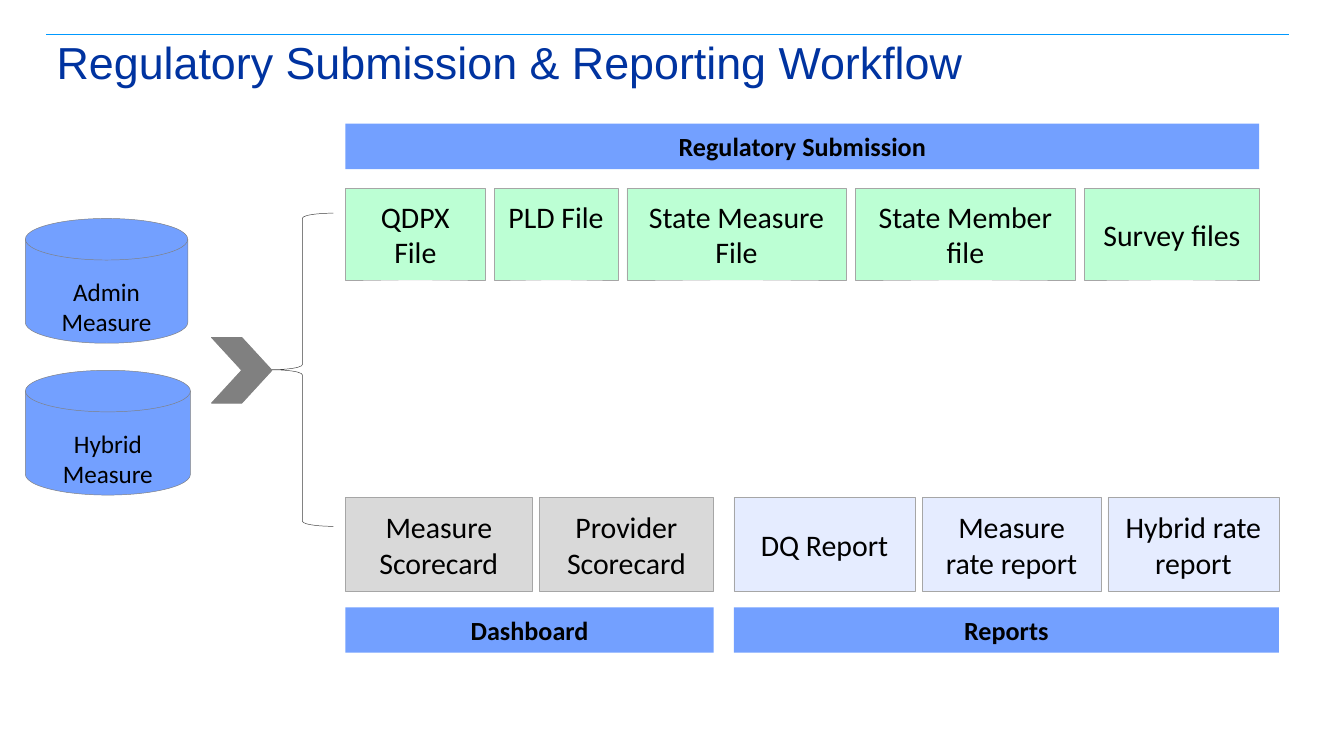
import pptx
import pptx.util
import pptx.dml.color
import pptx.enum.shapes
import pptx.enum.text
import pptx.oxml.ns
import lxml.etree
from dataclasses import dataclass

Cm = pptx.util.Cm
SHAPE = pptx.enum.shapes.MSO_SHAPE
ALIGN = pptx.enum.text.PP_ALIGN
ANCHOR = pptx.enum.text.MSO_ANCHOR


@dataclass(frozen=True)
class Theme:
    title: str = "0033A0"
    rule: str = "0099FF"
    text: str = "000000"
    blue: str = "73A0FF"
    green: str = "BCFFD4"
    gray: str = "D9D9D9"
    pale: str = "E5ECFF"
    chevron: str = "808080"
    border: str = "A6A6A6"
    brace: str = "404040"
    title_size: float = 24
    box_size: float = 16
    bar_size: float = 14
    disk_size: float = 13.5


T = Theme()


def write(sp, text, size=T.box_size, color=T.text, font="Calibri", bold=False,
          align=ALIGN.CENTER, anchor=ANCHOR.MIDDLE, spacing=None, **margins):
    tf = sp.text_frame
    tf.word_wrap = True
    tf.vertical_anchor = anchor
    for side, value in margins.items():
        setattr(tf, "margin_" + side, Cm(value))
    for i, line in enumerate(text.split("\n")):
        p = tf.paragraphs[0] if i == 0 else tf.add_paragraph()
        p.alignment = align
        p.line_spacing = spacing
        r = p.add_run()
        r.text = line
        r.font.name, r.font.size, r.font.bold = font, pptx.util.Pt(size), bold
        r.font.color.rgb = pptx.dml.color.RGBColor.from_string(color)


def add_shape(kind, x, y, w, h, fill=None, line=None, weight=0.25):
    sp = s.shapes.add_shape(kind, Cm(x), Cm(y), Cm(w), Cm(h))
    sp.shadow.inherit = False
    if fill:
        sp.fill.solid()
        sp.fill.fore_color.rgb = pptx.dml.color.RGBColor.from_string(fill)
    else:
        sp.fill.background()
    if line:
        sp.line.color.rgb = pptx.dml.color.RGBColor.from_string(line)
        sp.line.width = pptx.util.Pt(weight)
    else:
        sp.line.fill.background()
    return sp


prs = pptx.Presentation()
prs.slide_width, prs.slide_height = Cm(25.4), Cm(14.29)
s = prs.slides.add_slide(prs.slide_layouts[6])

# Rule above the title
rule = s.shapes.add_connector(pptx.enum.shapes.MSO_CONNECTOR.STRAIGHT,
                              Cm(0.87), Cm(0.66), Cm(24.36), Cm(0.66))
rule.line.color.rgb = pptx.dml.color.RGBColor.from_string(T.rule)
rule.line.width = pptx.util.Pt(0.5)
lxml.etree.SubElement(rule.element.spPr, pptx.oxml.ns.qn("a:effectLst"))

# Title
title = s.shapes.add_textbox(Cm(1.07), Cm(0.78), Cm(23.29), Cm(2.21))
write(title, "Regulatory Submission & Reporting Workflow", size=T.title_size,
      color=T.title, font="Arial", align=ALIGN.LEFT, anchor=ANCHOR.TOP,
      spacing=0.9, left=0, top=0, right=0, bottom=0)

# Brace and chevron between sources and outputs
add_shape(SHAPE.LEFT_BRACE, 5.13, 4.03, 1.17, 5.92, line=T.brace)
add_shape(SHAPE.CHEVRON, 4.0, 6.38, 1.14, 1.24, T.chevron, T.chevron, 0.5)

# Source databases; the top margin keeps labels low in the disk
for text, y, w in [("Admin\nMeasure", 4.13, 3.07), ("Hybrid\nMeasure", 7, 3.12)]:
    sp = add_shape(SHAPE.FLOWCHART_MAGNETIC_DISK, 0.48, y, w, 2.36, T.blue, T.chevron)
    write(sp, text, size=T.disk_size, top=0.7)

# Groups: heading, bar top, left, box top, box height, gap, fill, boxes (text, width)
groups = [
    ("Regulatory Submission", 2.34, 6.53, 3.56, 1.73, 0.17, T.green,
     [("QDPX File", 2.64), ("PLD File", 2.34), ("State Measure File", 4.14),
      ("State Member file", 4.17), ("Survey files", 3.3)]),
    ("Dashboard", 11.48, 6.53, 9.4, 1.78, 0.13, T.gray,
     [("Measure Scorecard", 3.53), ("Provider Scorecard", 3.3)]),
    ("Reports", 11.48, 13.87, 9.4, 1.78, 0.13, T.pale,
     [("DQ Report", 3.43), ("Measure rate report", 3.38),
      ("Hybrid rate report", 3.23)]),
]
for heading, bar_y, left, y, h, gap, fill, boxes in groups:
    x = left
    for text, w in boxes:
        sp = add_shape(SHAPE.RECTANGLE, x, y, w, h, fill, T.border)
        if text == "PLD File":
            write(sp, text, anchor=ANCHOR.TOP, top=0.2, left=0.2, right=0.2)
        else:
            write(sp, text)
        x += w + gap
    bar = add_shape(SHAPE.RECTANGLE, left, bar_y, x - gap - left, 0.86, T.blue)
    write(bar, heading, size=T.bar_size, bold=True)

prs.save("out.pptx")
